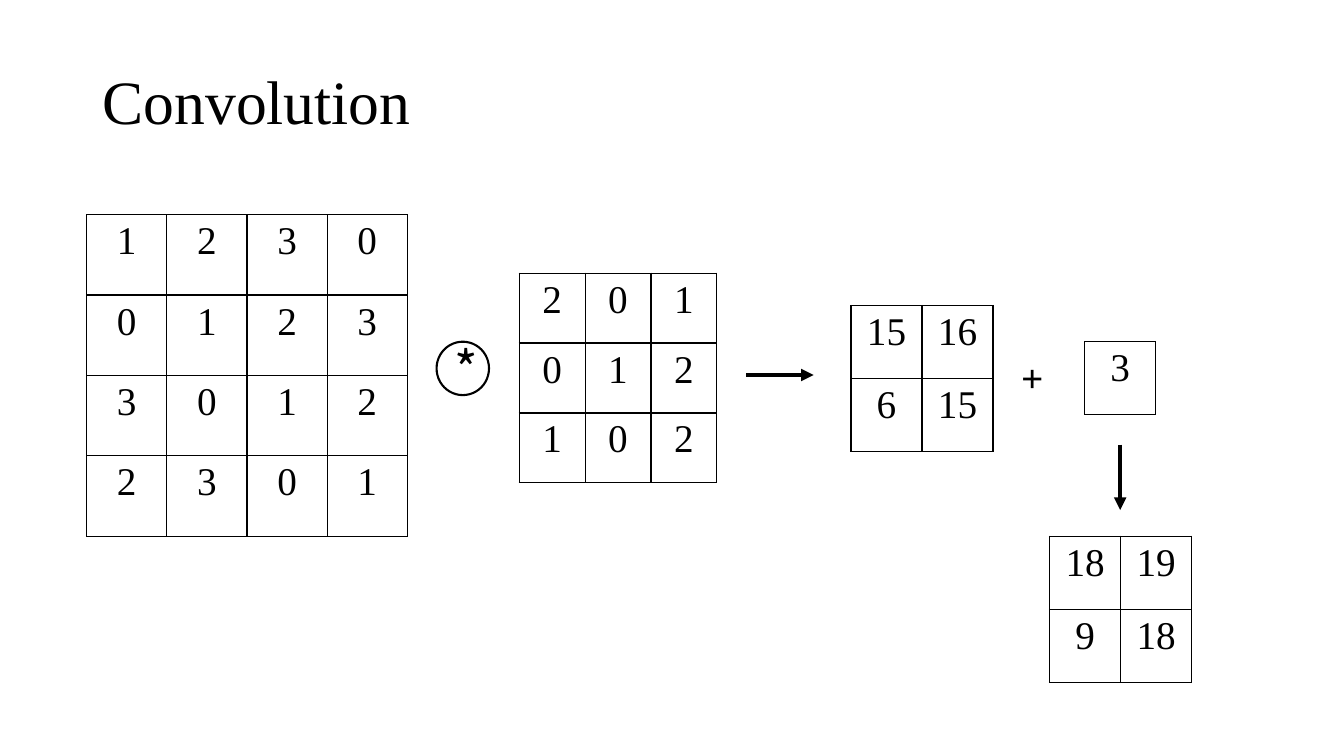
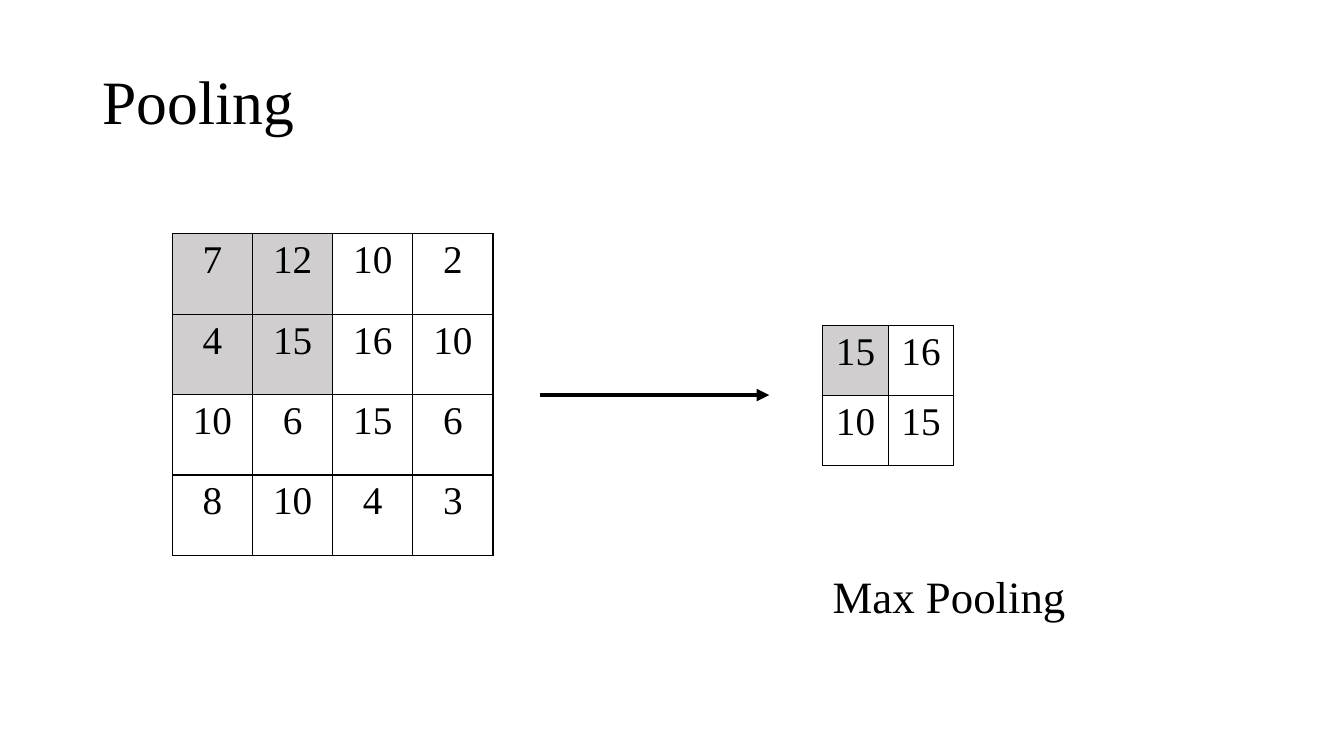
"""Build two slides that show convolution and pooling as number grids."""
import collections

import pptx
import pptx.dml.color
import pptx.enum.shapes
import pptx.enum.text
import pptx.oxml.ns
import pptx.util
from lxml import etree

PX = 9144
COLORS = {"ink": "000000", "paper": "FFFFFF", "window": "D0CECE"}
SERIF = "Times New Roman"
MIDDLE = pptx.enum.text.MSO_ANCHOR.MIDDLE
CENTER = pptx.enum.text.PP_ALIGN.CENTER

STYLES = {
    "title": {"font": {"name": SERIF, "size": pptx.util.Pt(44)},
              "paragraph": {"line_spacing": 0.9},
              "frame": {"word_wrap": True, "vertical_anchor": MIDDLE}},
    "label": {"font": {"name": SERIF, "size": pptx.util.Pt(32)},
              "paragraph": {"line_spacing": 0.9},
              "frame": {"word_wrap": True, "vertical_anchor": MIDDLE}},
    "number": {"font": {"name": SERIF, "size": pptx.util.Pt(28), "bold": False},
               "paragraph": {"alignment": CENTER}, "frame": {}},
    "plus": {"font": {"name": SERIF, "size": pptx.util.Pt(28), "bold": True},
             "paragraph": {}, "frame": {"word_wrap": True}},
    "operator": {"font": {"name": "Noto Sans CJK SC", "size": pptx.util.Pt(36)},
                 "paragraph": {"alignment": CENTER},
                 "frame": {"word_wrap": True, "vertical_anchor": MIDDLE}},
}

Box = collections.namedtuple("Box", "left top width height")
TITLE_BOX = Box(92, 31, 1150, 145)
CONVOLUTION_BOX = Box(86, 213, 1096, 464)
POOLING_BOX = Box(171, 232, 963, 435)


def color(key):
    """Return the named colour."""
    return pptx.dml.color.RGBColor.from_string(COLORS[key])


def within(box, left, top, width, height):
    """Return a box placed relative to the corner of another."""
    return Box(box.left + left, box.top + top, width, height)


def emu(box):
    """Turn pixel lengths into EMU."""
    return [length * PX for length in box]


def write(frame, text, style_key):
    """Put one styled run of text into a text frame."""
    style = STYLES[style_key]
    paragraph = frame.paragraphs[0]
    run = paragraph.add_run()
    run.text = text
    targets = {"frame": frame, "paragraph": paragraph, "font": run.font}
    for part, target in targets.items():
        for attribute, value in style[part].items():
            setattr(target, attribute, value)
    run.font.color.rgb = color("ink")


def add_text(slide, box, text, style_key):
    """Add a text box."""
    write(slide.shapes.add_textbox(*emu(box)).text_frame, text, style_key)


def add_borders(cell):
    """Draw a thin line on all four sides of a cell."""
    properties = cell._tc.get_or_add_tcPr()
    qn = pptx.oxml.ns.qn
    for side in ("a:lnL", "a:lnR", "a:lnT", "a:lnB"):
        border = etree.SubElement(properties, qn(side), w=str(pptx.util.Pt(1)))
        fill = etree.SubElement(border, qn("a:solidFill"))
        etree.SubElement(fill, qn("a:srgbClr"), val=COLORS["ink"])


def add_matrix(slide, box, rows, window=0):
    """Add a grid of numbers, shading the top left window of cells."""
    grid = slide.shapes.add_table(len(rows), len(rows[0]), *emu(box)).table
    for attribute in ("first_row", "horz_banding"):
        setattr(grid, attribute, False)
    for r, row in enumerate(rows):
        for c, number in enumerate(row):
            cell = grid.cell(r, c)
            add_borders(cell)
            if max(r, c) < window:
                cell.fill.solid()
                cell.fill.fore_color.rgb = color("window")
            else:
                cell.fill.background()
            write(cell.text_frame, str(number), "number")


def add_arrow(slide, box):
    """Add an arrow from the top left to the bottom right of a box."""
    left, top, width, height = emu(box)
    arrow = slide.shapes.add_connector(
        pptx.enum.shapes.MSO_CONNECTOR.STRAIGHT, left, top, left + width, top + height)
    arrow.line.color.rgb = color("ink")
    arrow.line.width = pptx.util.Pt(3)
    qn = pptx.oxml.ns.qn
    etree.SubElement(arrow.line._get_or_add_ln(), qn("a:tailEnd"), type="triangle")
    etree.SubElement(arrow._element.spPr, qn("a:effectLst"))


def add_operator(slide, box, symbol):
    """Add a circled operator."""
    circle = slide.shapes.add_shape(
        pptx.enum.shapes.MSO_SHAPE.FLOWCHART_CONNECTOR, *emu(box))
    circle.shadow.inherit = False
    circle.fill.solid()
    circle.fill.fore_color.rgb = color("paper")
    circle.line.color.rgb = color("ink")
    circle.line.width = pptx.util.Pt(1.5)
    write(circle.text_frame, symbol, "operator")


def draw_convolution(slide, box):
    """Show an input convolved with a kernel, then a bias added."""
    add_matrix(slide, within(box, 0, 0, 318, 319),
               [[1, 2, 3, 0], [0, 1, 2, 3], [3, 0, 1, 2], [2, 3, 0, 1]])
    add_matrix(slide, within(box, 429, 58, 196, 208),
               [[2, 0, 1], [0, 1, 2], [1, 0, 2]])
    add_operator(slide, within(box, 347, 126, 52, 53), "*")
    add_arrow(slide, within(box, 654, 159, 67, 0))
    add_matrix(slide, within(box, 758, 90, 141, 145), [[15, 16], [6, 15]])
    add_text(slide, within(box, 917, 133, 55, 57), "+", "plus")
    add_matrix(slide, within(box, 990, 126, 70, 72), [[3]])
    add_matrix(slide, within(box, 955, 319, 141, 145), [[18, 19], [9, 18]])
    add_arrow(slide, within(box, 1025, 228, 0, 65))


def draw_pooling(slide, box):
    """Show an input reduced by max pooling."""
    add_matrix(slide, within(box, 0, 0, 318, 319),
               [[7, 12, 10, 2], [4, 15, 16, 10], [10, 6, 15, 6], [8, 10, 4, 3]],
               window=2)
    add_arrow(slide, within(box, 365, 160, 227, 0))
    add_matrix(slide, within(box, 645, 91, 130, 139), [[15, 16], [10, 15]], window=1)
    add_text(slide, within(box, 645, 290, 318, 145), "Max Pooling", "label")


def main():
    """Build and save the presentation."""
    deck = pptx.Presentation()
    deck.slide_width, deck.slide_height = 1333 * PX, 750 * PX
    for title, draw, box in (("Convolution", draw_convolution, CONVOLUTION_BOX),
                             ("Pooling", draw_pooling, POOLING_BOX)):
        slide = deck.slides.add_slide(deck.slide_layouts[6])
        add_text(slide, TITLE_BOX, title, "title")
        draw(slide, box)
    deck.save("out.pptx")


if __name__ == "__main__":
    main()
